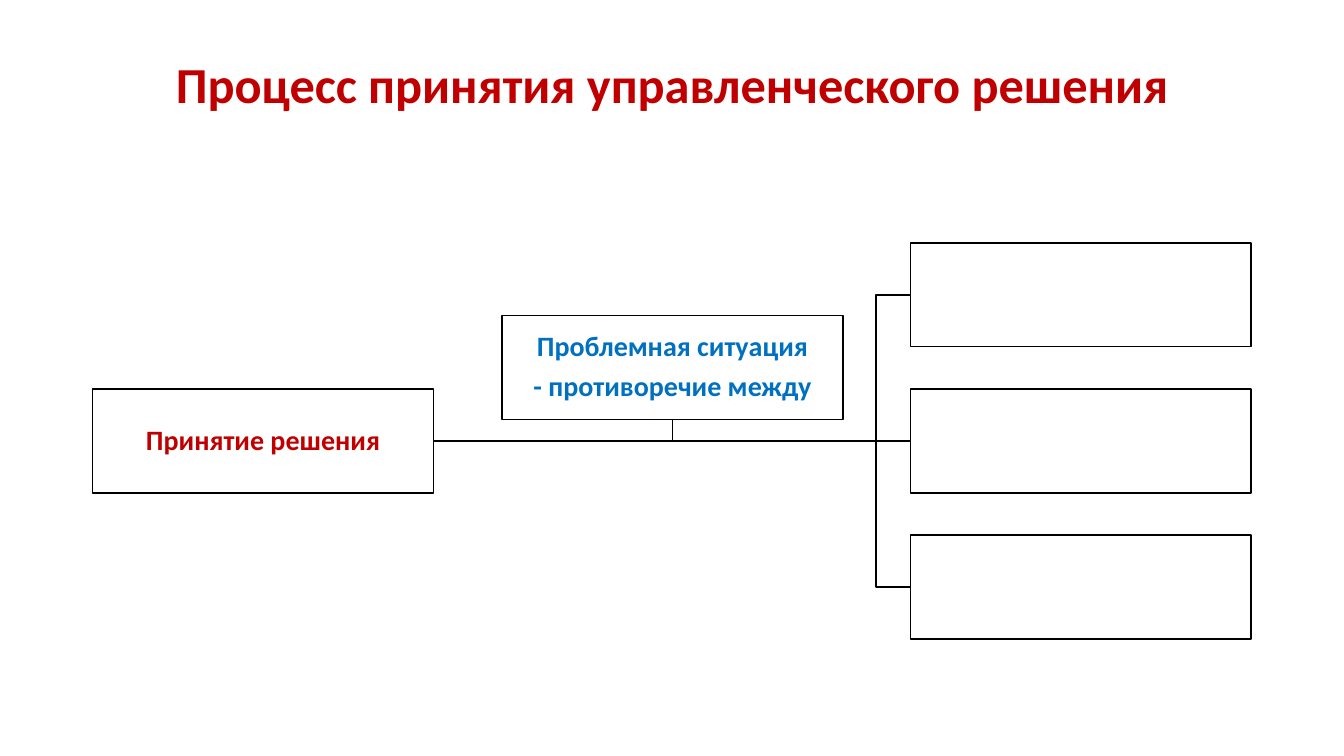
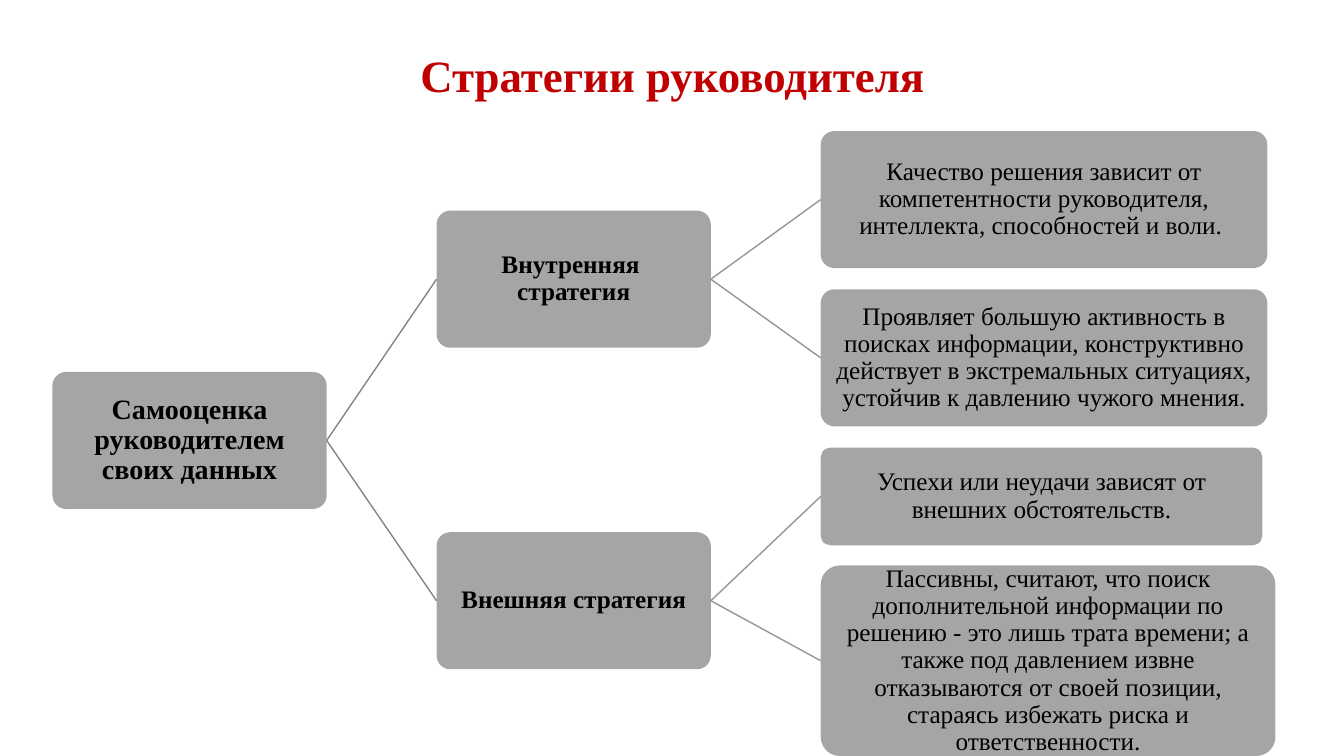
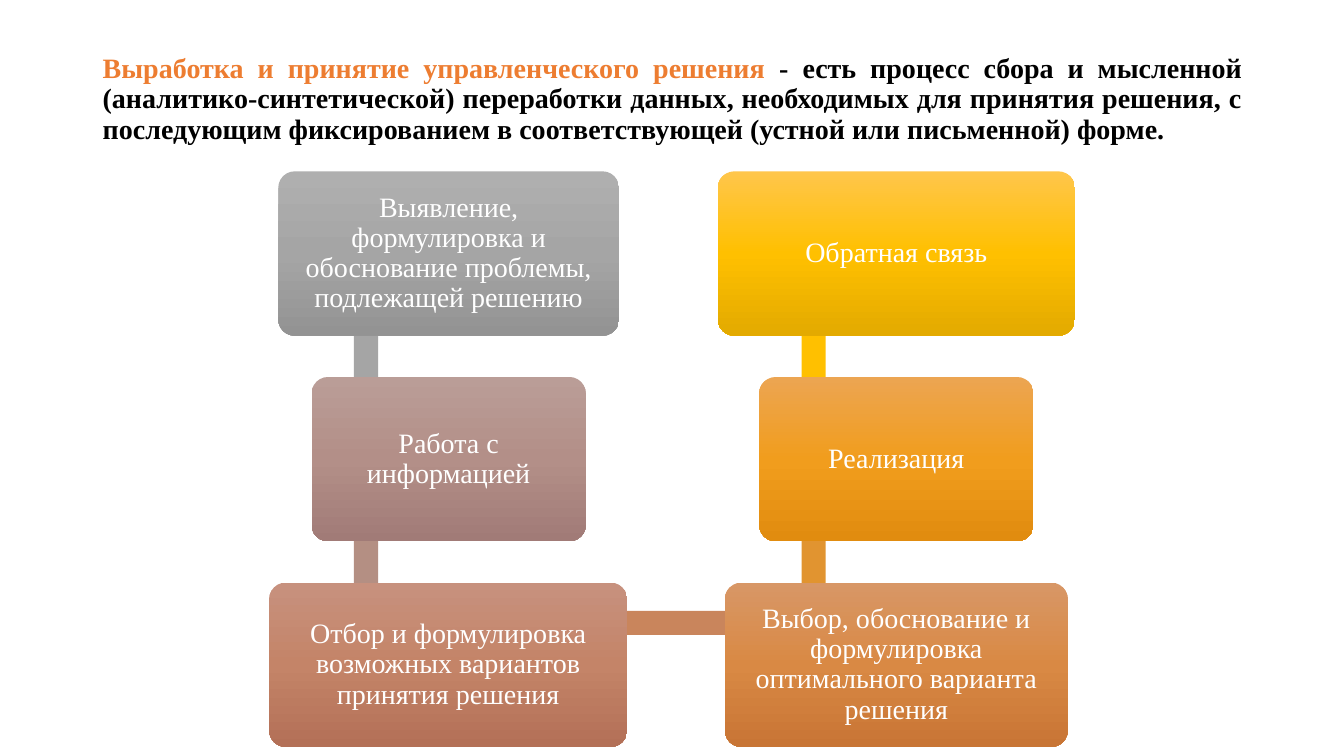
from copy import deepcopy

from pptx import Presentation
from pptx.dml.color import RGBColor
from pptx.enum import shapes, text
from pptx.oxml import ns
from pptx.oxml.xmlchemy import OxmlElement
from pptx.util import Inches, Pt

RED = RGBColor(0xC0, 0x00, 0x00)
BLUE = RGBColor(0x00, 0x70, 0xC0)
ORANGE = RGBColor(0xED, 0x7D, 0x31)
BLACK = RGBColor(0x00, 0x00, 0x00)
WHITE = RGBColor(0xFF, 0xFF, 0xFF)
GREY = RGBColor(0xA5, 0xA5, 0xA5)
DARK_LINK = RGBColor(0x84, 0x84, 0x84)
LIGHT_LINK = RGBColor(0x96, 0x96, 0x96)
SANS, SERIF = "Calibri", "Times New Roman"
RECT = shapes.MSO_SHAPE.RECTANGLE
ROUNDED = shapes.MSO_SHAPE.ROUNDED_RECTANGLE
CENTER, JUSTIFY = text.PP_ALIGN.CENTER, text.PP_ALIGN.JUSTIFY


def write(shape, paragraphs, inset=None, align=CENTER):
    """Fill a shape with paragraphs of (text, font, size, colour, bold) runs."""
    frame = shape.text_frame
    frame.word_wrap = True
    frame.vertical_anchor = text.MSO_ANCHOR.MIDDLE
    if inset is not None:
        frame.margin_left = frame.margin_right = Inches(inset)
        frame.margin_top = frame.margin_bottom = Inches(inset)
    for index, runs in enumerate(paragraphs):
        para = frame.add_paragraph() if index else frame.paragraphs[0]
        para.alignment = align
        para.line_spacing = 0.9
        para.space_after = Pt(7)
        for words, font, size, colour, bold in runs:
            span = para.add_run()
            span.text = words
            span.font.name = font
            span.font.size = Pt(size)
            span.font.color.rgb = colour
            span.font.bold = bold


def add_box(page, kind, at, fill, outline=None):
    """Add a flat shape at (left, top, width, height) in inches."""
    box = page.shapes.add_shape(kind, *map(Inches, at))
    box.shadow.inherit = False
    if kind == ROUNDED:
        box.adjustments[0] = 0.1
    box.fill.solid()
    box.fill.fore_color.rgb = fill
    if outline is None:
        box.line.fill.background()
    else:
        box.line.color.rgb = outline
        box.line.width = Pt(1)
    return box


deck = Presentation()
deck.slide_width, deck.slide_height = Inches(13.33), Inches(7.5)

# Titles share one place and differ in height and style
titles = [
    (0.92, CENTER, [("Процесс принятия управленческого решения", SANS, 36, RED, True)]),
    (0.74, CENTER, [("Стратегии руководителя", SERIF, 32, RED, True)]),
    (1.18, JUSTIFY, [
        ("Выработка и принятие управленческого решения ", SERIF, 20, ORANGE, True),
        ("- есть процесс сбора и мысленной (аналитико-синтетической) переработки "
         "данных, необходимых для принятия решения, с последующим фиксированием в "
         "соответствующей (устной или письменной) форме.", SERIF, 20, BLACK, True)]),
]
pages = []
for height, align, runs in titles:
    page = deck.slides.add_slide(deck.slide_layouts[6])
    title = page.shapes.add_textbox(Inches(0.92), Inches(0.4), Inches(11.5), Inches(height))
    write(title, [runs], align=align)
    pages.append(page)
process_page, strategy_page, stages_page = pages
links = []  # straight lines: page, x1, y1, x2, y2, colour

# Slide 1: decision, problem situation and three empty branches
AXIS, ROW_STEP, BOX_W, BOX_H = 4.375, 1.45, 3.38, 1.03
TRUNK_X, FORK_X, BRANCH_X = 4.3, 8.69, 9.03
elbows = [[(TRUNK_X, AXIS), (6.67, AXIS), (6.67, 4.16)]]
for end_y in (AXIS - ROW_STEP, AXIS + ROW_STEP):
    elbows.append([(TRUNK_X, AXIS), (FORK_X, AXIS), (FORK_X, end_y), (BRANCH_X, end_y)])
for points in elbows:
    start, *rest = [(Inches(x), Inches(y)) for x, y in points]
    builder = process_page.shapes.build_freeform(*start)
    builder.add_line_segments(rest, close=False)
    elbow = builder.convert_to_shape()
    elbow.shadow.inherit = False
    elbow.fill.background()
    elbow.line.color.rgb = BLACK
    elbow.line.width = Pt(1)
links.append((process_page, TRUNK_X, AXIS, BRANCH_X, AXIS, BLACK))

process_boxes = [
    (0.92, 3.86, [[("Принятие решения", SANS, 20, RED, True)]]),
    (4.98, 3.13, [[("Проблемная ситуация", SANS, 20, BLUE, True)],
                  [("- противоречие между", SANS, 20, BLUE, True)]]),
]
process_boxes += [(BRANCH_X, 2.41 + row * ROW_STEP, []) for row in range(3)]
for left, top, paragraphs in process_boxes:
    box = add_box(process_page, RECT, (left, top, BOX_W, BOX_H), WHITE, BLACK)
    write(box, paragraphs, inset=0.01)

# Slide 2: tree of strategies; each node names its parent's right-edge point
ROOT_END, INNER_END, OUTER_END = (3.24, 4.37), (7.05, 2.77), (7.05, 5.96)
tree = [
    (None, (0.52, 3.69, 2.72, 1.36), 20, True, "Самооценка руководителем своих данных"),
    (ROOT_END, (4.33, 2.09, 2.72, 1.36), 18, True, "Внутренняя  стратегия"),
    (INNER_END, (8.14, 1.3, 4.43, 1.36), 18, False,
     "Качество решения зависит от компетентности руководителя, интеллекта, "
     "способностей и воли. "),
    (INNER_END, (8.14, 2.87, 4.43, 1.36), 18, False,
     "Проявляет большую активность в поисках информации, конструктивно действует "
     "в экстремальных ситуациях, устойчив к давлению чужого мнения."),
    (ROOT_END, (4.33, 5.28, 2.72, 1.36), 18, True, "Внешняя стратегия"),
    (OUTER_END, (8.14, 4.44, 4.38, 0.97), 18, False,
     "Успехи или неудачи зависят от внешних обстоятельств."),
    (OUTER_END, (8.14, 5.61, 4.51, 1.89), 18, False,
     "Пассивны, считают, что поиск дополнительной информации по решению - это лишь "
     "трата времени; а также под давлением извне отказываются от своей позиции, "
     "стараясь избежать риска и ответственности."),
]
for parent_end, at, size, bold, words in tree:
    node = add_box(strategy_page, ROUNDED, at, GREY)
    write(node, [[(words, SERIF, size, BLACK, bold)]], inset=0.04)
    if parent_end:
        left, top, width, height = at
        colour = DARK_LINK if parent_end == ROOT_END else LIGHT_LINK
        links.append((strategy_page, *parent_end, left, top + height / 2, colour))

for page, x1, y1, x2, y2, colour in links:
    link = page.shapes.add_connector(
        shapes.MSO_CONNECTOR.STRAIGHT, Inches(x1), Inches(y1), Inches(x2), Inches(y2))
    link.line.color.rgb = colour
    link.line.width = Pt(1)
    link._element.spPr.append(OxmlElement("a:effectLst"))

# Slide 3: stages run down the left column and up the right one
LEFT_BAR, RIGHT_BAR, BAR_W, BAR_LENGTH = 3.51, 7.95, 0.24, 2.03
STAGE_TOP, STAGE_STEP, STAGE_H = 1.7, 2.04, 1.63
bars = [
    ((LEFT_BAR, 2.1, BAR_W, BAR_LENGTH), "A5A5A5"),
    ((LEFT_BAR, 2.1 + STAGE_STEP, BAR_W, BAR_LENGTH), "B48F83"),
    ((3.64, 6.06, 4.43, BAR_W), "C9855C"),
    ((RIGHT_BAR, 2.1 + STAGE_STEP, BAR_W, BAR_LENGTH), "E19430"),
    ((RIGHT_BAR, 2.1, BAR_W, BAR_LENGTH), "FFC000"),
]
for at, colour in bars:
    add_box(stages_page, RECT, at, RGBColor.from_string(colour))

stages = [
    (2.76, 0, 3.38, ("AFAFAF", "A5A5A5", "939393"),
     "Выявление, формулировка и обоснование проблемы, подлежащей решению"),
    (3.09, 1, 2.72, ("BA9D97", "B38F88", "A17B77"), "Работа с информацией"),
    (2.67, 2, 3.55, ("C7917E", "C48468", "B37057"),
     "Отбор и формулировка возможных вариантов принятия решения"),
    (7.19, 2, 3.4, ("D89766", "D98944", "C87535"),
     "Выбор, обоснование и формулировка оптимального варианта решения"),
    (7.53, 1, 2.72, ("ECA552", "F19D1D", "E18C0F"), "Реализация"),
    (7.12, 0, 3.54, ("FFC64B", "FFC000", "E3AA00"), "Обратная связь"),
]
for left, row, width, shades, words in stages:
    at = (left, STAGE_TOP + row * STAGE_STEP, width, STAGE_H)
    stage = add_box(stages_page, ROUNDED, at, GREY)
    stage.fill.gradient()
    stage.fill.gradient_angle = 270
    stop_list = stage._element.spPr.find(".//" + ns.qn("a:gsLst"))
    stop_list.append(deepcopy(stop_list[0]))
    for stop, position, shade in zip(stage.fill.gradient_stops, (0, 0.5, 1), shades):
        stop.position = position
        stop.color.rgb = RGBColor.from_string(shade)
    write(stage, [[(words, SERIF, 20, WHITE, False)]], inset=0.13)

deck.save("out.pptx")
